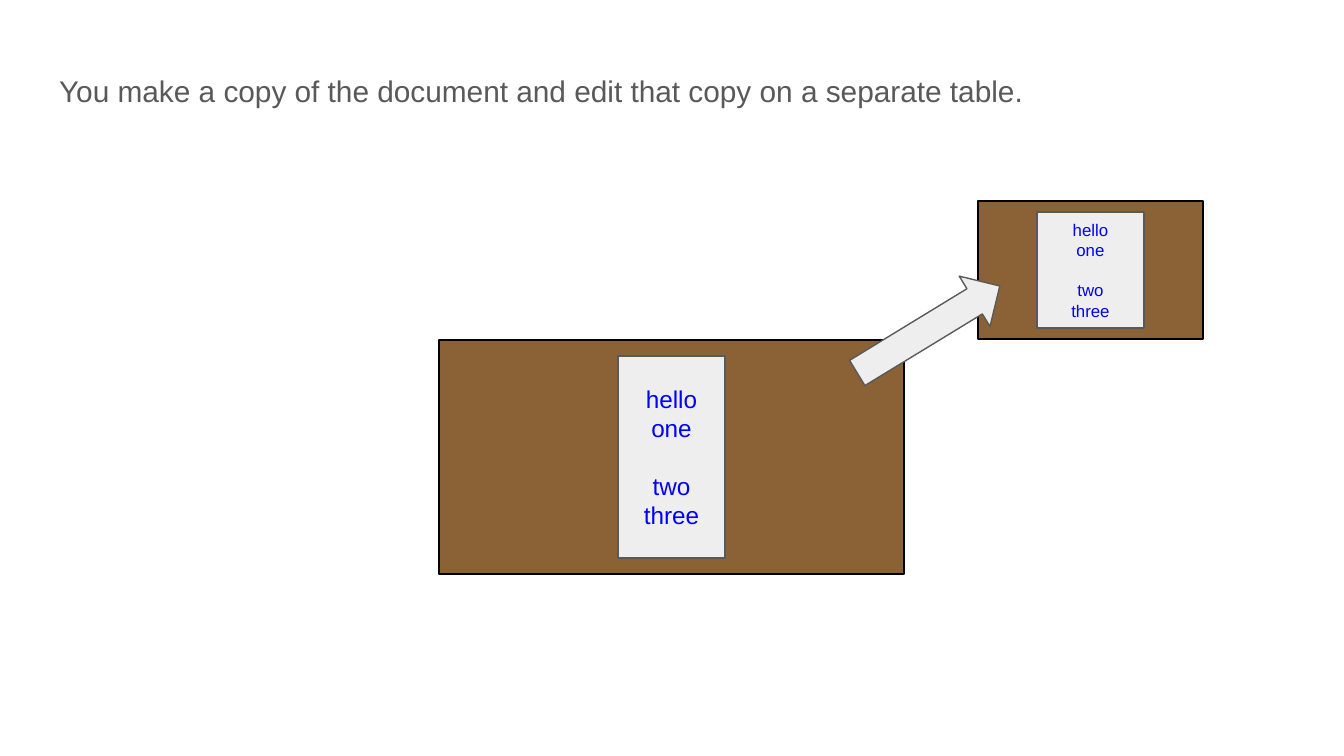
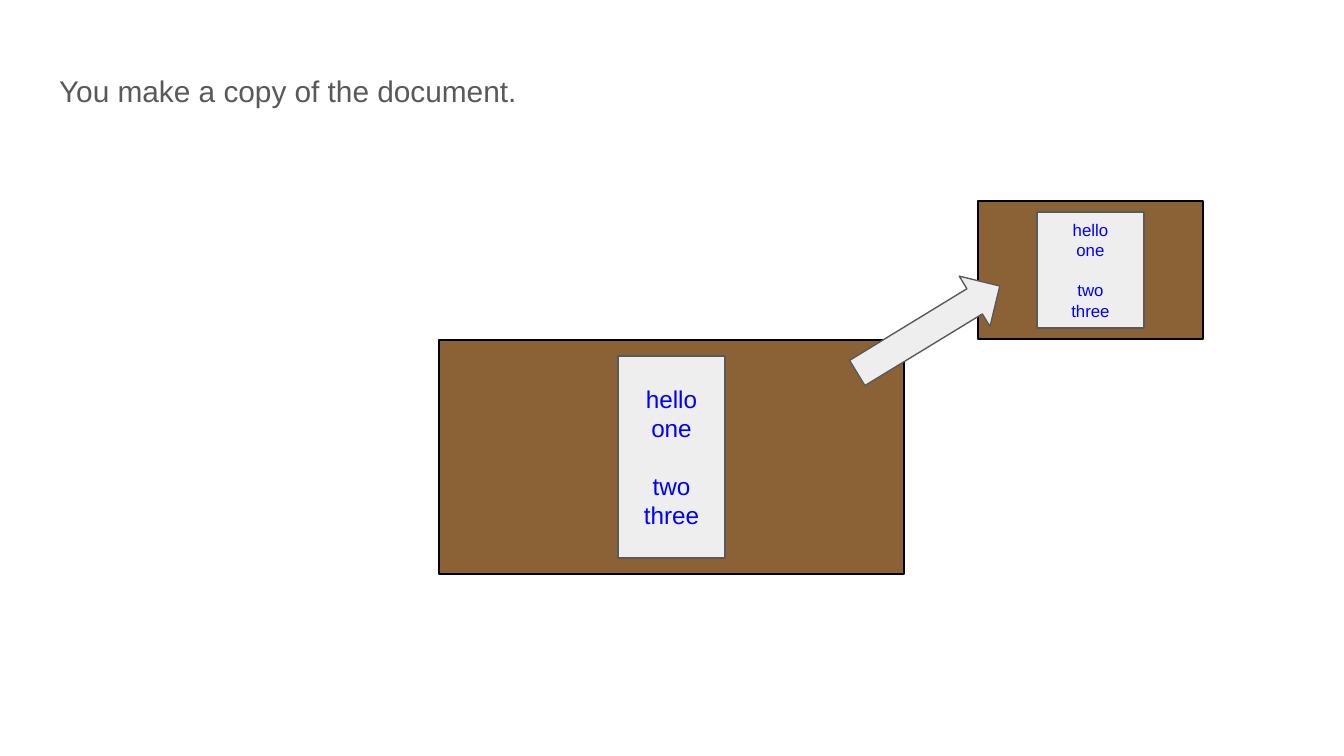
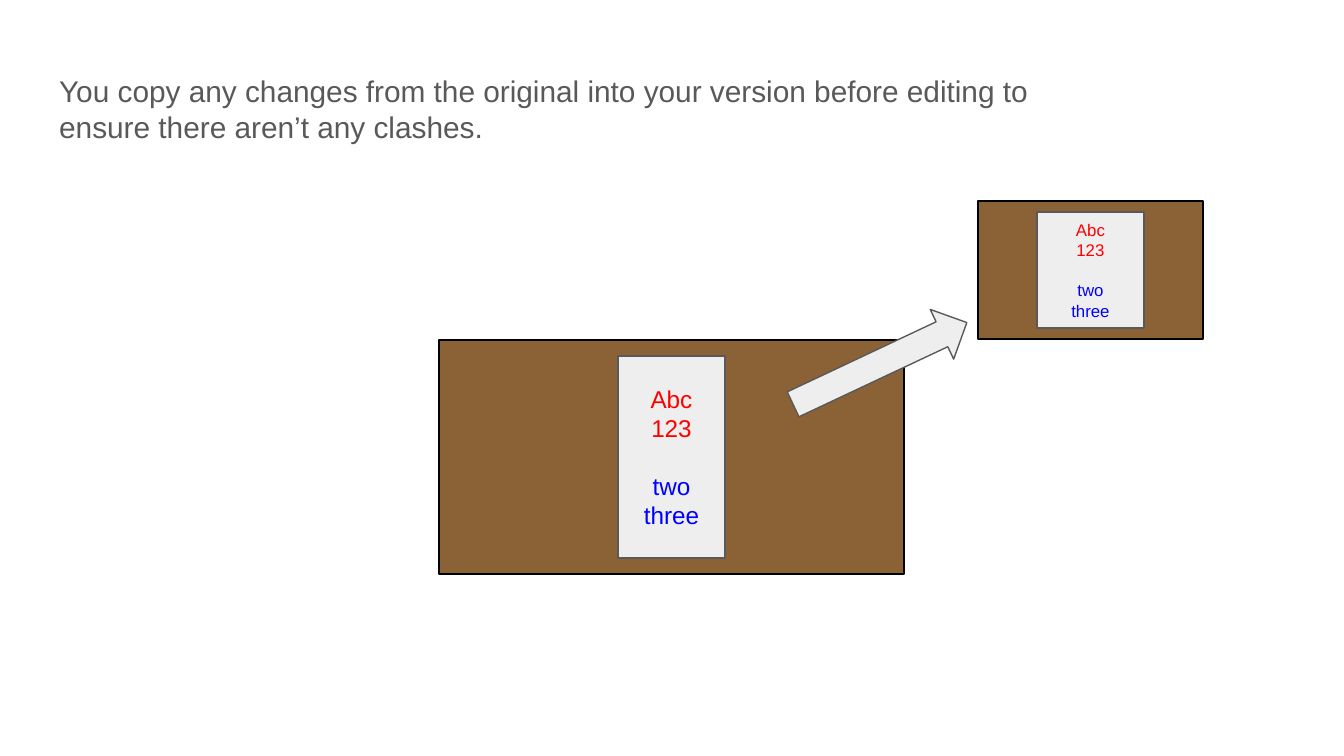
from pptx import Presentation
from pptx.dml.color import RGBColor
from pptx.enum.shapes import MSO_SHAPE
from pptx.enum.text import MSO_ANCHOR, PP_ALIGN
from pptx.util import Inches, Pt

SLIDE_WIDTH, SLIDE_HEIGHT = 1344, 756
PX = Inches(10) / SLIDE_WIDTH
FONT = "Arial"
COLORS = {
    "background": "FFFFFF",
    "wood": "8B6136",
    "edge": "000000",
    "paper": "EEEEEE",
    "ink": "595959",
    "kept": "0000FF",
    "changed": "FF0000",
}

SHARED_TABLE = (439, 340, 465, 234)
OWN_TABLE = (978, 201, 225, 138)
PAPER_WIDTH = 107
FIRST_VERSION = [("hello", "kept"), ("one", "kept"), ("two", "kept"), ("three", "kept")]
EDITED_VERSION = [("Abc", "changed"), ("123", "changed"), *FIRST_VERSION[2:]]

COPY_ARROW = (MSO_SHAPE.LEFT_ARROW, (845, 300, 167, 59), 148.6)
UPDATE_ARROW = (MSO_SHAPE.RIGHT_ARROW, (784, 336, 192, 55), 334.8)
STEPS = [
    ("You make a copy of the document and edit that copy on a separate table.",
     FIRST_VERSION, COPY_ARROW),
    ("You make a copy of the document.", FIRST_VERSION, COPY_ARROW),
    ("You copy any changes from the original into your version before editing to "
     "ensure there aren’t any clashes.", EDITED_VERSION, UPDATE_ARROW),
]


def emu(lengths):
    return [round(length * PX) for length in lengths]


def rgb(name):
    return RGBColor.from_string(COLORS[name])


class Deck:
    def __init__(self):
        self.presentation = Presentation()
        size = emu((SLIDE_WIDTH, SLIDE_HEIGHT))
        self.presentation.slide_width, self.presentation.slide_height = size
        self.slide = None

    def new_slide(self):
        self.slide = self.presentation.slides.add_slide(self.presentation.slide_layouts[6])
        background = self.slide.background.fill
        background.solid()
        background.fore_color.rgb = rgb("background")

    def shape(self, kind, box, fill, line):
        shape = self.slide.shapes.add_shape(kind, *emu(box))
        shape.shadow.inherit = False
        shape.fill.solid()
        shape.fill.fore_color.rgb = rgb(fill)
        shape.line.color.rgb = rgb(line)
        shape.line.width = Pt(0.75)
        return shape

    def frame(self, shape, anchor):
        """Give the shape's text frame its wrapping, anchor and equal margins."""
        frame = shape.text_frame
        frame.word_wrap = True
        frame.vertical_anchor = anchor
        frame.margin_left = frame.margin_right = Inches(0.1)
        frame.margin_top = frame.margin_bottom = Inches(0.1)
        return frame

    def set_text(self, paragraph, text, size, color):
        paragraph.text = text
        paragraph.font.name = FONT
        paragraph.font.size = Pt(size)
        paragraph.font.color.rgb = rgb(color)

    def heading(self, text):
        box = self.slide.shapes.add_textbox(*emu((46, 59, 1052, 94)))
        frame = self.frame(box, MSO_ANCHOR.TOP)
        self.set_text(frame.paragraphs[0], text, 16, "ink")

    def table_with_paper(self, table, paper_height, lines, size):
        """Draw a table top with a sheet of paper centred on it."""
        self.shape(MSO_SHAPE.RECTANGLE, table, "wood", "edge")
        left, top, width, height = table
        sheet = (left + (width - PAPER_WIDTH) // 2, top + (height - paper_height) // 2,
                 PAPER_WIDTH, paper_height)
        paper = self.shape(MSO_SHAPE.RECTANGLE, sheet, "paper", "ink")
        frame = self.frame(paper, MSO_ANCHOR.MIDDLE)
        for index, (word, color) in enumerate(lines):
            paragraph = frame.add_paragraph() if index else frame.paragraphs[0]
            self.set_text(paragraph, word, size, color)
            paragraph.alignment = PP_ALIGN.CENTER
            if index == 2:
                paragraph.space_before = Pt(round(size * 1.2, 1))

    def arrow(self, kind, box, rotation):
        self.shape(kind, box, "paper", "ink").rotation = rotation


def main():
    deck = Deck()
    for explanation, document, arrow in STEPS:
        deck.new_slide()
        deck.table_with_paper(SHARED_TABLE, 202, document, 13)
        deck.heading(explanation)
        deck.table_with_paper(OWN_TABLE, 116, document, 9)
        deck.arrow(*arrow)
    deck.presentation.save("out.pptx")


if __name__ == "__main__":
    main()
